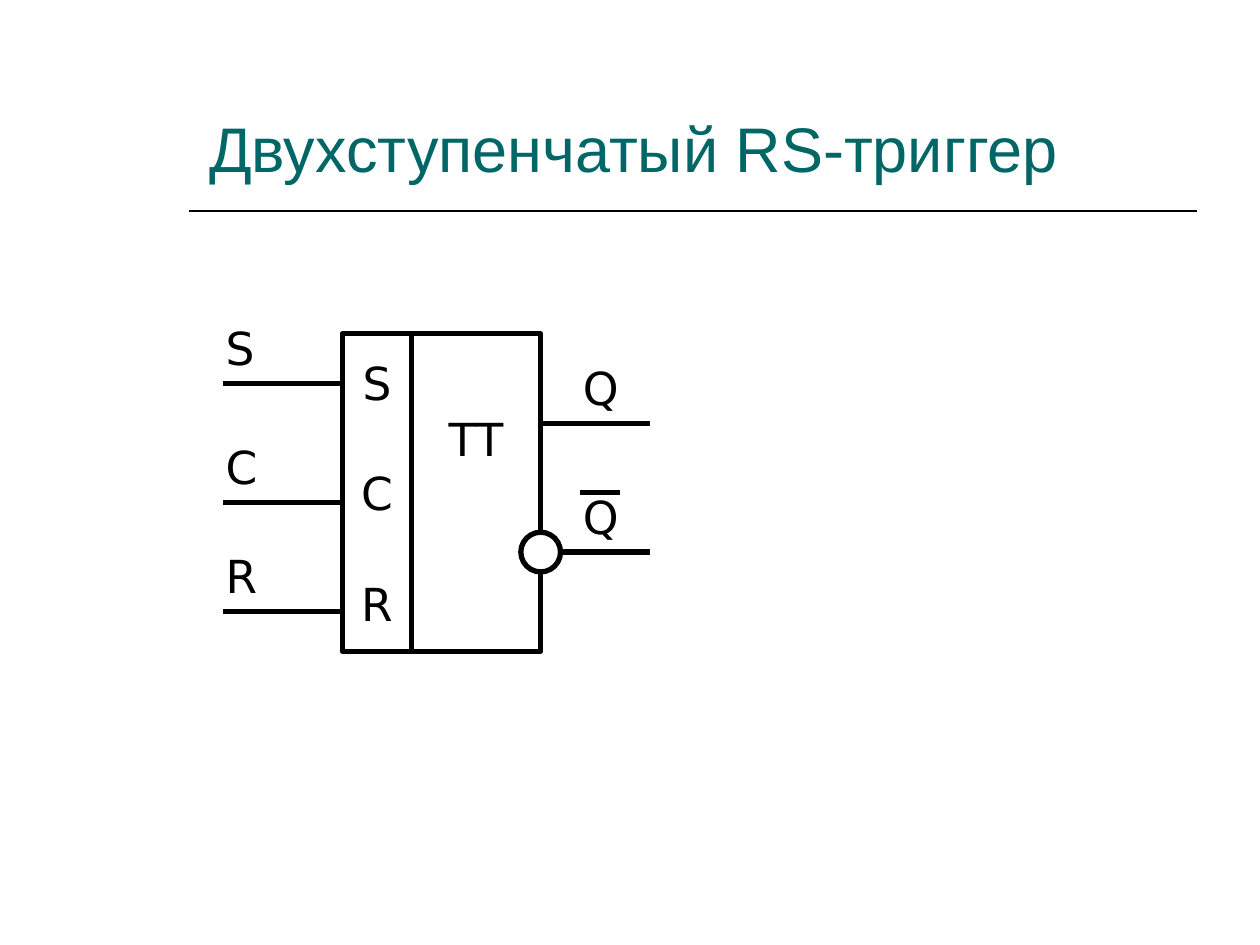
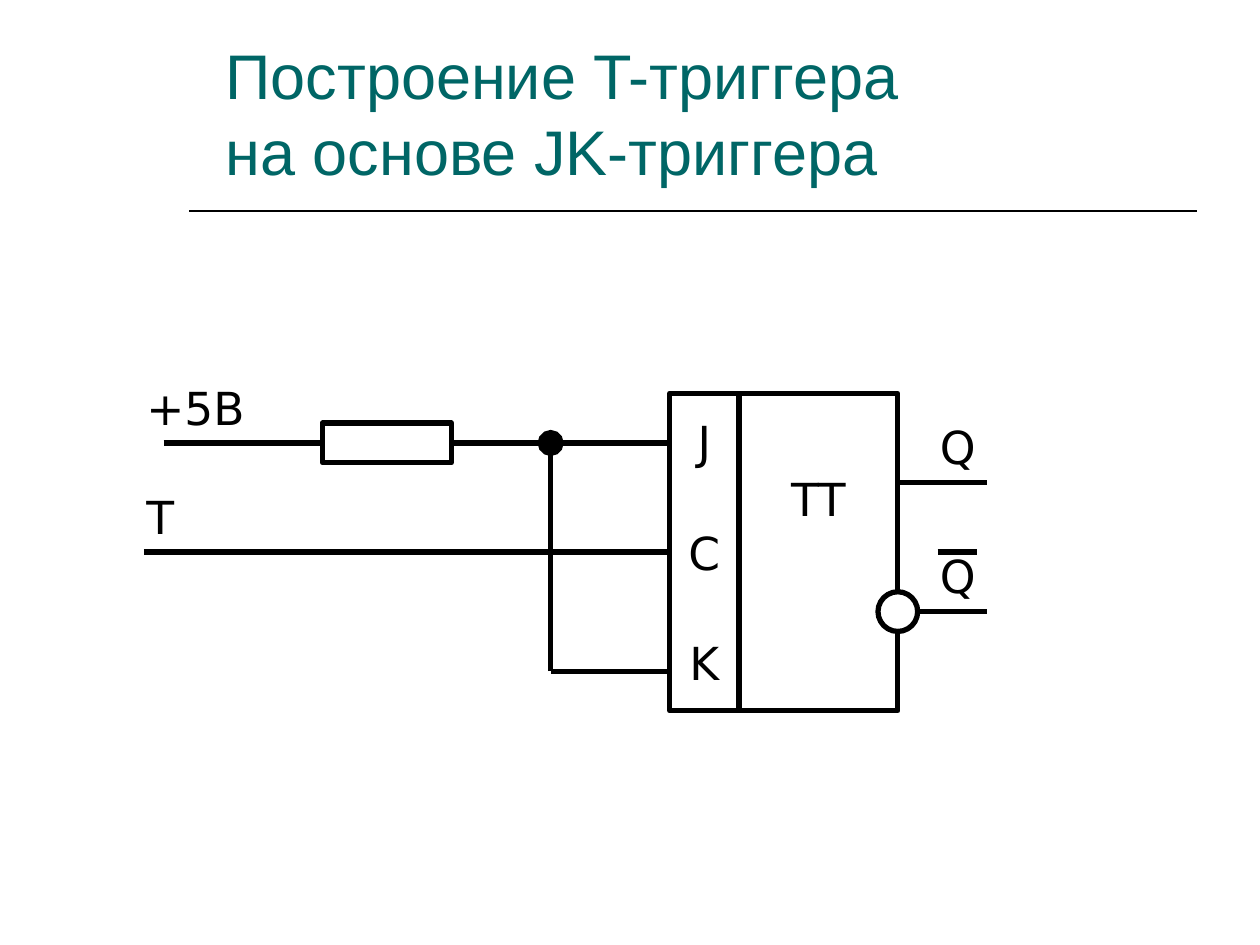
import lxml.etree
import pptx
import pptx.dml.color
import pptx.enum.shapes
import pptx.enum.text
import pptx.oxml.ns
import pptx.util

color = pptx.dml.color.RGBColor.from_string
Shape = pptx.enum.shapes.MSO_SHAPE
Anchor = pptx.enum.text.MSO_ANCHOR
Align = pptx.enum.text.PP_ALIGN
Inches, Pt, Mm = pptx.util.Inches, pptx.util.Pt, pptx.util.Mm

BLACK, WHITE, TEAL = "000000", "FFFFFF", "006666"
TITLE_FONT, CIRCUIT_FONT = "Arial", "DejaVu Sans"
CIRCUIT_SIZE = Pt(26)
PIN_GAP = Pt(32)

# Drawing grid with 2 mm cells
CELL = Mm(2)
COLUMNS = [Mm(1 + 2 * number) for number in range(126)]
ROWS = [Mm(1.3 + 2 * number) for number in range(94)]
SYMBOL_ROWS = 32
PIN_COLUMNS = 7

presentation = pptx.Presentation()
presentation.slide_width = Inches(10)
presentation.slide_height = Inches(7.5)
WIDTH, HEIGHT = presentation.slide_width, presentation.slide_height


def add_wire(slide, left, top, right, bottom, line_width=3):
    wire = slide.shapes.add_connector(
        pptx.enum.shapes.MSO_CONNECTOR.STRAIGHT, left, top, right, bottom)
    wire.line.color.rgb = color(BLACK)
    wire.line.width = Pt(line_width)
    lxml.etree.SubElement(wire.element.spPr, pptx.oxml.ns.qn("a:effectLst"))
    return wire


def add_block(slide, kind, column, row, columns, rows, lines=()):
    block = slide.shapes.add_shape(
        kind, COLUMNS[column], ROWS[row], columns * CELL, rows * CELL)
    block.shadow.inherit = False
    block.fill.solid()
    block.fill.fore_color.rgb = color(WHITE)
    block.line.color.rgb = color(BLACK)
    block.line.width = Pt(3)
    frame = block.text_frame
    frame.word_wrap = False
    frame.vertical_anchor = Anchor.MIDDLE
    for index, line in enumerate(lines):
        paragraph = frame.add_paragraph() if index else frame.paragraphs[0]
        paragraph.text = line
        paragraph.alignment = Align.CENTER
        paragraph.space_before = PIN_GAP if index else 0
        paragraph.font.name = CIRCUIT_FONT
        paragraph.font.size = CIRCUIT_SIZE
        paragraph.font.color.rgb = color(BLACK)
    return block


# Title box in inches; symbol position, body width and output length in cells;
# input labels as text, column, row, width
diagrams = [
    dict(title="Двухступенчатый RS-триггер", title_box=(1.56, 0.39, 7.88, 1.13),
         pins=("S", "C", "R"), column=34, row=33, body=13, output=11,
         inputs=[("S", 21, 31, 9), ("С", 21, 43, 9), ("R", 21, 54, 9)]),
    dict(title="Построение T-триггера\vна основе JK-триггера",
         title_box=(1.69, 0.08, 7.84, 1.46),
         pins=("J", "С", "K"), column=67, row=39, body=16, output=9,
         inputs=[("+5В", 13, 37, 18), ("T", 13, 48, 9)]),
]

pin_boxes = []
for diagram in diagrams:
    slide = presentation.slides.add_slide(presentation.slide_layouts[5])

    # Title and the rule below it
    title = slide.shapes.title
    title.left, title.top, title.width, title.height = map(Inches, diagram["title_box"])
    frame = title.text_frame
    frame.text = diagram["title"]
    frame.auto_size = pptx.enum.text.MSO_AUTO_SIZE.NONE
    frame.vertical_anchor = Anchor.BOTTOM
    paragraph = frame.paragraphs[0]
    paragraph.alignment = Align.LEFT
    paragraph.font.name = TITLE_FONT
    paragraph.font.size = Pt(36)
    paragraph.font.color.rgb = color(TEAL)
    rule_top = int(HEIGHT * 0.223)
    add_wire(slide, int(WIDTH * 0.15), rule_top, int(WIDTH * 0.95), rule_top, 1)

    # Flip-flop symbol: pin column and body
    column, row = diagram["column"], diagram["row"]
    right = column + PIN_COLUMNS + diagram["body"]
    pin_boxes.append(add_block(slide, Shape.RECTANGLE, column, row,
                               PIN_COLUMNS, SYMBOL_ROWS, diagram["pins"]))
    body = add_block(slide, Shape.RECTANGLE, column + PIN_COLUMNS, row,
                     diagram["body"], SYMBOL_ROWS, ["TT"])
    body.text_frame.margin_bottom = Inches(0.91)

    # Outputs: direct, and inverted with a circle and a bar over Q
    for output_row in (row + 9, row + 22):
        add_wire(slide, COLUMNS[right], ROWS[output_row],
                 COLUMNS[right + diagram["output"]], ROWS[output_row])
    add_block(slide, Shape.OVAL, right - 2, row + 20, 4, 4)
    add_wire(slide, COLUMNS[right + 4], ROWS[row + 16],
             COLUMNS[right + 8], ROWS[row + 16])

    # Signal names
    outputs = [("Q", right + 3, row + 2, 9), ("Q", right + 3, row + 15, 9)]
    for text, label_column, label_row, columns in diagram["inputs"] + outputs:
        label = slide.shapes.add_textbox(
            COLUMNS[label_column], ROWS[label_row], columns * CELL, 7 * CELL)
        label.text_frame.word_wrap = True
        label.text_frame.text = text
        paragraph = label.text_frame.paragraphs[0]
        paragraph.font.name = CIRCUIT_FONT
        paragraph.font.size = CIRCUIT_SIZE
        paragraph.font.color.rgb = color(BLACK)

rs_slide, t_slide = presentation.slides

# Input wires of the RS flip-flop
for wire_row in (38, 50, 61):
    add_wire(rs_slide, COLUMNS[22], ROWS[wire_row], COLUMNS[34], ROWS[wire_row])

# Clock wire of the T flip-flop
clock = add_wire(t_slide, COLUMNS[14], ROWS[55], COLUMNS[67], ROWS[55])
clock.end_connect(pin_boxes[1], 1)

# Supply through a resistor to J, with a branch to K
resistor = add_block(t_slide, Shape.RECTANGLE, 32, 42, 13, 4)
supply = add_wire(t_slide, COLUMNS[16], ROWS[44], COLUMNS[32], ROWS[44])
supply.end_connect(resistor, 1)
j_wire = add_wire(t_slide, COLUMNS[45], ROWS[44], COLUMNS[67], ROWS[44])
j_wire.begin_connect(resistor, 3)
add_wire(t_slide, COLUMNS[55], ROWS[67], COLUMNS[67], ROWS[67])
branch = add_wire(t_slide, COLUMNS[55], ROWS[67], COLUMNS[55], ROWS[44])
lxml.etree.SubElement(branch.line._get_or_add_ln(), pptx.oxml.ns.qn("a:tailEnd"),
                      type="oval", w="lg", len="lg")

presentation.save("out.pptx")
